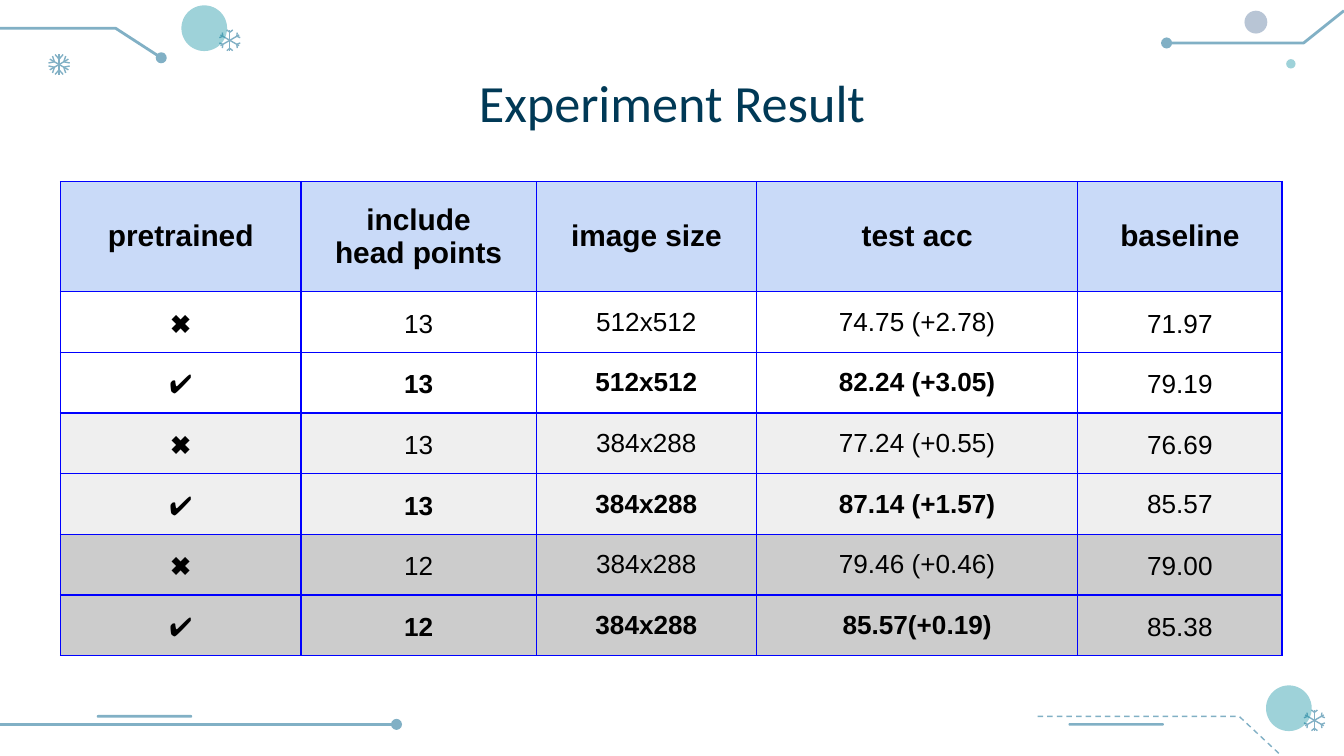
"""Build a slide with a table of experiment results and a winter frame."""
import dataclasses
import math

import pptx
import pptx.dml.color
import pptx.enum.dml
import pptx.enum.shapes
import pptx.enum.text
import pptx.oxml
import pptx.oxml.ns
import pptx.util

Inches = pptx.util.Inches
Pt = pptx.util.Pt
KIND = pptx.enum.shapes.MSO_SHAPE
MIDDLE = pptx.enum.text.MSO_ANCHOR.MIDDLE
CENTER = pptx.enum.text.PP_ALIGN.CENTER


@dataclasses.dataclass(frozen=True)
class Theme:
    """Colours, fonts and type sizes of the slide."""
    title: str = "003956"
    text: str = "000000"
    line: str = "81B0C5"
    teal: str = "00899C"
    slate: str = "496A95"
    head: str = "C9DAF8"
    bands: tuple = ("FFFFFF", "EFEFEF", "CCCCCC")
    edge: str = "0000FF"
    title_font: str = "Calibri"
    body_font: str = "Arial"
    title_size: int = 28
    head_size: int = 16
    body_size: int = 14


THEME = Theme()
HEADS = ("pretrained", "include\nhead points", "image size", "test acc", "baseline")
ROWS = (
    ("✖", "13", "512x512", "74.75 (+2.78)", "71.97"),
    ("✔", "13", "512x512", "82.24 (+3.05)", "79.19"),
    ("✖", "13", "384x288", "77.24 (+0.55)", "76.69"),
    ("✔", "13", "384x288", "87.14 (+1.57)", "85.57"),
    ("✖", "12", "384x288", "79.46 (+0.46)", "79.00"),
    ("✔", "12", "384x288", "85.57(+0.19)", "85.38"),
)
WIDTHS = (1.79, 1.75, 1.64, 2.39, 1.52)
HEIGHTS = (0.82,) + (0.34,) * len(ROWS)


def rgb(code):
    """Turn a hex code into a colour."""
    return pptx.dml.color.RGBColor.from_string(code)


def add_tag(parent, tag, **attrs):
    """Append an empty drawing element with the given attributes."""
    node = parent.makeelement(pptx.oxml.ns.qn(tag), attrs)
    parent.append(node)
    return node


def style_line(shape, width, dot=False, dash=False):
    """Give a line its colour, width, dash and end dot."""
    shape.line.color.rgb = rgb(THEME.line)
    shape.line.width = Pt(width)
    if dash:
        shape.line.dash_style = pptx.enum.dml.MSO_LINE.DASH
    if dot:
        add_tag(shape.line._get_or_add_ln(), "a:tailEnd", type="oval")


def add_line(shapes, start, end, width, dot=False):
    """Draw a straight line."""
    places = [Inches(n) for n in (*start, *end)]
    line = shapes.add_connector(pptx.enum.shapes.MSO_CONNECTOR.STRAIGHT, *places)
    style_line(line, width, dot)
    add_tag(line._element.spPr, "a:effectLst")


def add_bend(shapes, points, width, dot=False, dash=False):
    """Draw an open line through several points."""
    first, *rest = [(Inches(x), Inches(y)) for x, y in points]
    pen = shapes.build_freeform(*first)
    pen.add_line_segments(rest, close=False)
    bend = pen.convert_to_shape()
    bend.fill.background()
    bend.shadow.inherit = False
    style_line(bend, width, dot, dash)


def add_blob(shapes, kind, box, color, alpha=100):
    """Draw a filled shape without an outline."""
    blob = shapes.add_shape(kind, *[Inches(n) for n in box])
    blob.shadow.inherit = False
    blob.line.fill.background()
    blob.fill.solid()
    blob.fill.fore_color.rgb = rgb(color)
    if alpha < 100:
        paint = blob._element.spPr.find(".//" + pptx.oxml.ns.qn("a:srgbClr"))
        add_tag(paint, "a:alpha", val=str(alpha * 1000))
    return blob


def add_bar(shapes, left, top):
    """Draw a short bar with round ends."""
    bar = add_blob(shapes, KIND.ROUNDED_RECTANGLE, (left, top, 0.71, 0.02), THEME.line)
    bar.adjustments[0] = 0.5


def add_flake(shapes, x, y, fork=0.06, spread=16):
    """Draw a snowflake with six forked arms."""
    def spot(radius, angle):
        """Find a point around the centre."""
        turn = math.radians(angle)
        return x + radius * math.cos(turn), y + radius * math.sin(turn)

    group = shapes.add_group_shape()
    for angle in range(30, 390, 60):
        add_line(group.shapes, (x, y), spot(0.08, angle), 0.75)
        for side in (-spread, spread):
            add_line(group.shapes, spot(fork, angle), spot(0.08, angle + side), 0.75)


def add_frame(shapes):
    """Draw the lines, dots and flakes around the slide."""
    add_bar(shapes, 0.72, 5.32)
    add_bar(shapes, 7.95, 5.38)
    add_line(shapes, (0, 5.39), (2.95, 5.39), 1.5, dot=True)
    add_bend(shapes, ((10, 0.08), (9.7, 0.32), (8.68, 0.32)), 1.5, dot=True)
    add_bend(shapes, ((0, 0.21), (0.86, 0.21), (1.2, 0.43)), 1.5, dot=True)
    add_bend(shapes, ((7.72, 5.33), (9.22, 5.33), (9.52, 5.61)), 0.75, dash=True)
    add_flake(shapes, 1.71, 0.3)
    add_flake(shapes, 0.44, 0.48, fork=0.04, spread=22)
    add_flake(shapes, 9.78, 5.36)
    dots = (
        (9.26, 0.08, 0.17, THEME.slate, 39),
        (9.57, 0.44, 0.07, THEME.teal, 38),
        (1.35, 0.04, 0.34, THEME.teal, 38),
        (9.42, 5.1, 0.34, THEME.teal, 38),
    )
    for left, top, size, color, alpha in dots:
        add_blob(shapes, KIND.OVAL, (left, top, size, size), color, alpha)


def set_font(para, name, size, color, bold=False):
    """Centre a paragraph and set its font."""
    para.alignment = CENTER
    para.font.name = name
    para.font.size = Pt(size)
    para.font.bold = bold
    para.font.color.rgb = rgb(color)


def set_inset(box):
    """Give a cell or text frame equal margins and middle anchoring."""
    box.margin_left = box.margin_right = Inches(0.1)
    box.margin_top = box.margin_bottom = Inches(0.1)
    box.vertical_anchor = MIDDLE


def set_edges(cell):
    """Draw the four borders of a cell."""
    props = cell._tc.get_or_add_tcPr()
    for at, tag in enumerate(("a:lnL", "a:lnR", "a:lnT", "a:lnB")):
        edge = add_tag(props, tag, w=str(Pt(0.75)))
        add_tag(add_tag(edge, "a:solidFill"), "a:srgbClr", val=THEME.edge)
        props.insert(at, edge)


def fill_cell(cell, text, row, col):
    """Write and style one cell."""
    head = row == 0
    set_inset(cell)
    cell.text = text
    cell.fill.solid()
    cell.fill.fore_color.rgb = rgb(THEME.head if head else THEME.bands[(row - 1) // 2])
    best = row % 2 == 0 and 0 < col < 4
    size = THEME.head_size if head else THEME.body_size
    for para in cell.text_frame.paragraphs:
        if not head and col in (0, 1, 4) and (row, col) != (4, 4):
            para.line_spacing = 1.15
        set_font(para, THEME.body_font, size, THEME.text, head or best)
    set_edges(cell)


def add_grid(shapes):
    """Add the table of results."""
    lines = (HEADS, *ROWS)
    box = [Inches(n) for n in (0.45, 1.35, sum(WIDTHS), sum(HEIGHTS))]
    table = shapes.add_table(len(lines), len(HEADS), *box).table
    table.first_row = table.horz_banding = False
    for col, width in enumerate(WIDTHS):
        table.columns[col].width = Inches(width)
    for row, line in enumerate(lines):
        table.rows[row].height = Inches(HEIGHTS[row])
        for col, text in enumerate(line):
            fill_cell(table.cell(row, col), text, row, col)


def set_title(title, text):
    """Place and style the title."""
    title.left, title.top, title.width, title.height = [
        Inches(n) for n in (0.78, 0.42, 8.44, 0.67)]
    frame = title.text_frame
    frame.text = text
    set_inset(frame)
    set_font(frame.paragraphs[0], THEME.title_font, THEME.title_size, THEME.title)


def main():
    """Build and save the slide."""
    deck = pptx.Presentation()
    deck.slide_width = Inches(10)
    deck.slide_height = deck.slide_width * 9 // 16
    slide = deck.slides.add_slide(deck.slide_layouts[5])
    add_frame(slide.shapes)
    set_title(slide.shapes.title, "Experiment Result")
    add_grid(slide.shapes)
    deck.save("out.pptx")


if __name__ == "__main__":
    main()
